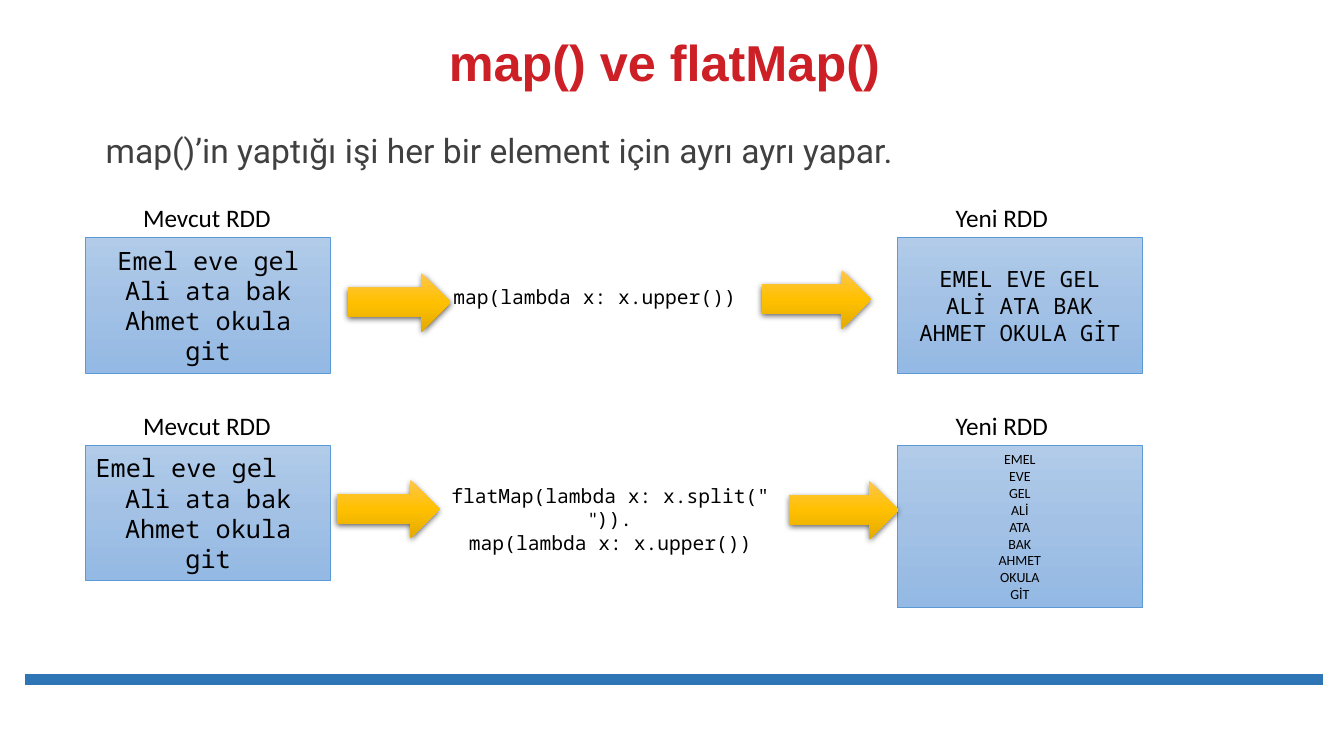
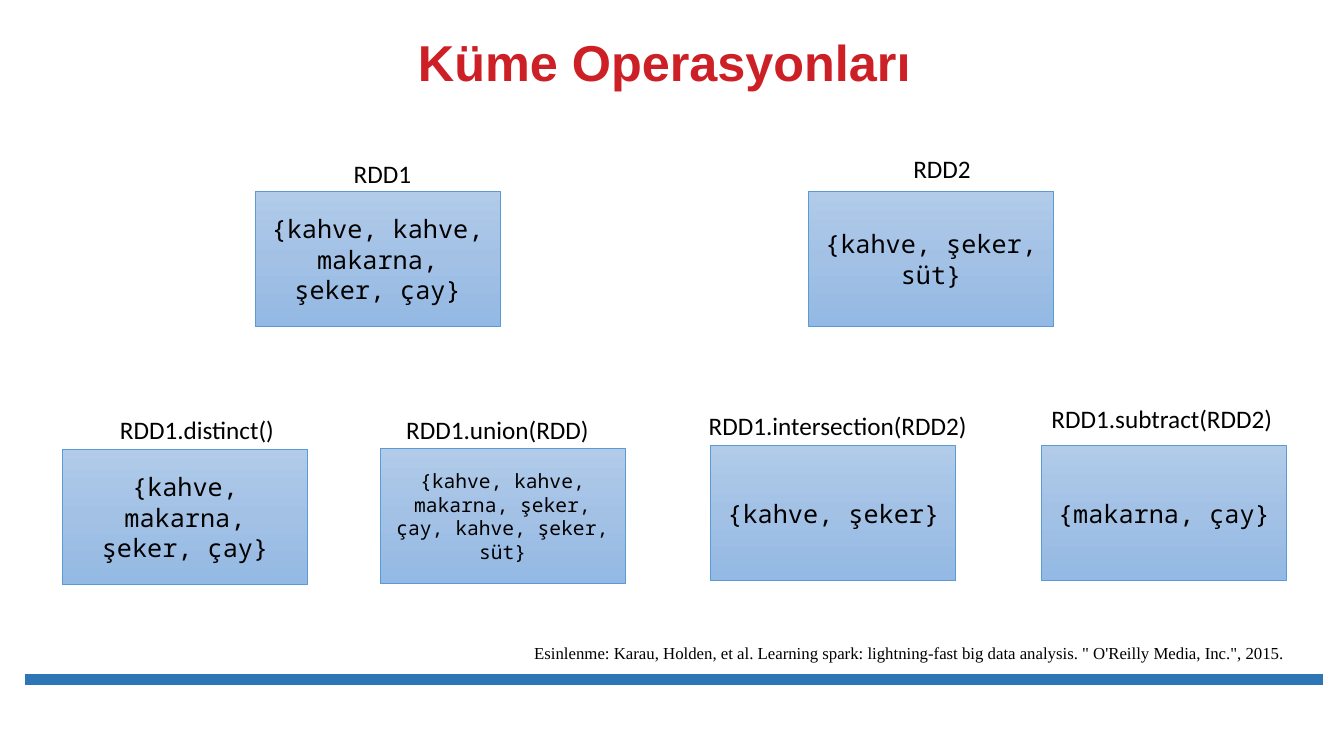
from lxml import etree
from pptx import Presentation
from pptx.dml.color import RGBColor
from pptx.enum import shapes, text
from pptx.oxml import parse_xml
from pptx.oxml.ns import nsdecls, qn
from pptx.util import Inches, Pt

COLORS = {
    "title": "CD1F26",
    "body": "404041",
    "black": "000000",
    "band": "2E75B6",
    "box_line": "5B9BD5",
    "box": ["B1CBE9", "A3C1E5", "93B9E4"],
    "arrow": ["FFC64B", "FFC000", "E3AB00"],
}
MONO = "Noto Sans Mono"
LEFT, CENTER = text.PP_ALIGN.LEFT, text.PP_ALIGN.CENTER
TOP, MIDDLE, BOTTOM = text.MSO_ANCHOR.TOP, text.MSO_ANCHOR.MIDDLE, text.MSO_ANCHOR.BOTTOM
RECT, ARROW = shapes.MSO_SHAPE.RECTANGLE, shapes.MSO_SHAPE.RIGHT_ARROW
BOX_W, BOX_H = 2.43, 1.34


def add_text(s, at, lines, sp=None, size=18, font="Calibri", color="black", bold=False,
             align=LEFT, anchor=TOP, spacing=None, wrap=True, grow=True):
    sp = sp or s.shapes.add_textbox(*map(Inches, at))
    tf = sp.text_frame
    tf.word_wrap = wrap
    tf.vertical_anchor = anchor
    tf.auto_size = text.MSO_AUTO_SIZE.SHAPE_TO_FIT_TEXT if grow else text.MSO_AUTO_SIZE.NONE
    for i, line in enumerate(lines):
        p = tf.paragraphs[0] if i == 0 else tf.add_paragraph()
        p.alignment = align
        if spacing:
            p.line_spacing = spacing
        for run_text, run_font in [(line, font)] if isinstance(line, str) else line:
            r = p.add_run()
            r.text = run_text
            r.font.name = run_font
            r.font.size = Pt(size)
            r.font.bold = bold
            r.font.color.rgb = RGBColor.from_string(COLORS[color])
    return sp


def add_gradient_shape(s, kind, at, colors):
    sp = s.shapes.add_shape(kind, *map(Inches, at))
    stops = "".join(f'<a:gs pos="{i * 50000}"><a:srgbClr val="{c}"/></a:gs>'
                    for i, c in enumerate(COLORS[colors]))
    sp._element.spPr.append(parse_xml(
        f'<a:gradFill {nsdecls("a")} rotWithShape="1"><a:gsLst>{stops}</a:gsLst>'
        '<a:lin ang="5400000" scaled="0"/></a:gradFill>'))
    sp.shadow.inherit = False
    if kind == ARROW:
        sp.line.fill.background()
        sp._element.spPr.find(qn("a:effectLst")).append(parse_xml(
            f'<a:outerShdw {nsdecls("a")} blurRad="57150" dist="19050" dir="5400000" '
            'algn="ctr" rotWithShape="0"><a:srgbClr val="000000">'
            '<a:alpha val="63000"/></a:srgbClr></a:outerShdw>'))
    else:
        sp.line.color.rgb = RGBColor.from_string(COLORS["box_line"])
        sp.line.width = Pt(0.5)
    return sp


prs = Presentation()
prs.slide_width, prs.slide_height = Inches(13.33), Inches(7.5)

slides = []
for title in ["map() ve flatMap()", "Küme Operasyonları"]:
    s = prs.slides.add_slide(prs.slide_layouts[6])
    band = s.shapes.add_connector(shapes.MSO_CONNECTOR.STRAIGHT, Inches(0.25), Inches(6.74),
                                  Inches(13.12), Inches(6.74))
    band.line.color.rgb = RGBColor.from_string(COLORS["band"])
    band.line.width = Pt(8)
    etree.SubElement(band._element.spPr, qn("a:effectLst"))
    add_text(s, (1.59, 0.23, 10, 0.74), [title], size=36, font="Arial", color="title",
             bold=True, align=CENTER, anchor=BOTTOM, spacing=0.9, grow=False)
    slides.append(s)
map_slide, set_slide = slides

add_text(map_slide, (0.95, 1.04, 10.84, 0.71),
         ["map()’in yaptığı işi her bir element için ayrı ayrı yapar."],
         size=24, font="Roboto", color="body", spacing=1.5)

source = ["Emel eve gel", "Ali ata bak", "Ahmet okula git"]
upper = ["EMEL EVE GEL", "ALİ ATA BAK", "AHMET OKULA GİT"]
words = " ".join(upper).split()
flat_code = [[('flatMap(lambda x: x.split(" ', MONO), ('"', "Calibri"), (")).", MONO)],
             "map(lambda x: x.upper())"]
flows = [
    (2.36, BOX_H, upper, 16, MONO, flat_code[1:], (4.36, 2.78, 3.08, 0.34),
     (3.45, 2.71), (7.56, 2.68)),
    (4.42, 1.61, words, 10, "Calibri", flat_code, (4.28, 4.75, 3.55, 0.57),
     (3.34, 4.76), (7.83, 4.77)),
]
source_boxes = []
for top, height, result, size, font, code, code_at, arrow_in, arrow_out in flows:
    for label, x, w in [("Mevcut RDD", 1.32, 1.48), ("Yeni RDD", 9.38, 1.13)]:
        add_text(map_slide, (x, top - 0.4, w, 0.4), [label], wrap=False)
    for x, h, lines, pt, face in [(0.85, BOX_H, source, 18, MONO),
                                  (8.9, height, result, size, font)]:
        at = (x, top, BOX_W, h)
        sp = add_gradient_shape(map_slide, RECT, at, "box")
        add_text(map_slide, at, lines, sp=sp, size=pt, font=face, align=CENTER,
                 anchor=MIDDLE, grow=False)
        if lines is source:
            source_boxes.append(sp)
    add_text(map_slide, code_at, code, size=14, font=MONO, align=CENTER)
    for (x, y), w in [(arrow_in, 1.02), (arrow_out, 1.08)]:
        add_gradient_shape(map_slide, ARROW, (x, y, w, 0.58), "arrow")
source_boxes[1].text_frame.paragraphs[0].alignment = LEFT

sets = [
    ("RDD1", (3.41, 1.52, 0.78), "{kahve, kahve, makarna, şeker, çay}", (2.53, 1.9), 18),
    ("RDD2", (8.96, 1.47, 0.78), "{kahve, şeker, süt}", (8.02, 1.9), 18),
    ("RDD1.distinct()", (1.09, 4.06, 1.75), "{kahve, makarna, şeker, çay}", (0.62, 4.46), 18),
    ("RDD1.union(RDD)", (3.93, 4.06, 2.04),
     "{kahve, kahve, makarna, şeker, çay, kahve, şeker, süt}", (3.77, 4.45), 14),
    ("RDD1.intersection(RDD2)", (6.93, 4.02, 2.79), "{kahve, şeker}", (7.05, 4.42), 18),
    ("RDD1.subtract(RDD2)", (10.33, 3.95, 2.42), "{makarna, çay}", (10.33, 4.42), 18),
]
for label, label_at, members, corner, size in sets:
    at = (*corner, BOX_W, BOX_H)
    sp = add_gradient_shape(set_slide, RECT, at, "box")
    add_text(set_slide, at, [members], sp=sp, size=size, font=MONO, align=CENTER,
             anchor=MIDDLE, grow=False)
    add_text(set_slide, (*label_at, 0.4), [label], wrap=False)

add_text(set_slide, (5.2, 6.33, 7.77, 0.3),
         ["Esinlenme: Karau, Holden, et al. Learning spark: lightning-fast big data analysis. "
          "\" O'Reilly Media, Inc.\", 2015."], size=12, font="Times New Roman")

prs.save("out.pptx")
